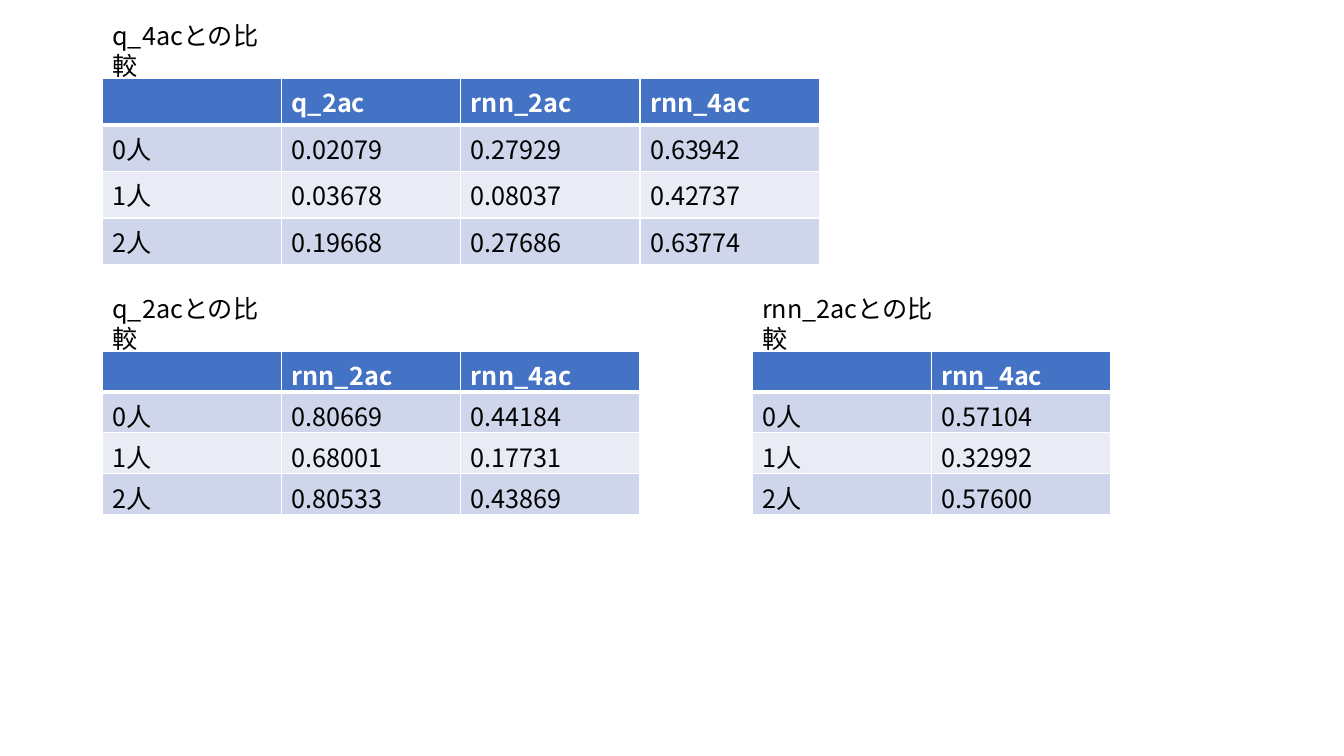
from dataclasses import dataclass

from lxml import etree
from pptx import Presentation
from pptx.dml.color import RGBColor
from pptx.enum.text import MSO_AUTO_SIZE
from pptx.oxml.ns import qn
from pptx.util import Pt

GROW = MSO_AUTO_SIZE.SHAPE_TO_FIT_TEXT


@dataclass(frozen=True)
class Theme:
    font: str = "Noto Sans CJK JP"
    size: int = 18
    text: str = "000000"
    white: str = "FFFFFF"
    header: str = "4472C4"
    bands: tuple = ("CFD5EA", "E9EBF5")


T = Theme()
COL_W, ROW_H = 128, 29.2
LEFT, RIGHT = 73.2, 537.4
LABELS = ("0人", "1人", "2人")

# caption, left, caption top, caption width, table top, {column: values}
COMPARISONS = [
    ("q_4acとの比較", LEFT, 11, 136, 55.8, {
        "q_2ac": ("0.02079", "0.03678", "0.19668"),
        "rnn_2ac": ("0.27929", "0.08037", "0.27686"),
        "rnn_4ac": ("0.63942", "0.42737", "0.63774")}),
    ("q_2acとの比較", LEFT, 206, 136, 250.8, {
        "rnn_2ac": ("0.80669", "0.68001", "0.80533"),
        "rnn_4ac": ("0.44184", "0.17731", "0.43869")}),
    ("rnn_2acとの比較", RIGHT, 206, 153, 250.8, {
        "rnn_4ac": ("0.57104", "0.32992", "0.57600")}),
]


def add_run(tf, text, color, bold=False):
    r = tf.paragraphs[0].add_run()
    r.text = text
    r.font.name, r.font.size, r.font.bold = T.font, Pt(T.size), bold
    r.font.color.rgb = RGBColor.from_string(color)
    etree.SubElement(r.font._element, qn("a:ea"), typeface=T.font)


def style_cell(cell, fill, bottom_width):
    """Draw the white borders, then the fill, in the order the schema asks for."""
    tcPr = cell._tc.get_or_add_tcPr()
    for side, width in (("L", 1), ("R", 1), ("T", 1), ("B", bottom_width)):
        ln = etree.SubElement(tcPr, qn(f"a:ln{side}"), w=str(Pt(width)))
        solid = etree.SubElement(ln, qn("a:solidFill"))
        etree.SubElement(solid, qn("a:srgbClr"), val=T.white)
    cell.fill.solid()
    cell.fill.fore_color.rgb = RGBColor.from_string(fill)


prs = Presentation()
prs.slide_width, prs.slide_height = Pt(960), Pt(540)
s = prs.slides.add_slide(prs.slide_layouts[6])

for caption, left, caption_top, caption_w, table_top, columns in COMPARISONS:
    rows = [("", *columns), *zip(LABELS, *columns.values())]
    n_cols = len(rows[0])
    table = s.shapes.add_table(len(rows), n_cols, Pt(left), Pt(table_top),
                               Pt(COL_W * n_cols), Pt(ROW_H * len(rows))).table
    for col in table.columns:
        col.width = Pt(COL_W)
    for i, values in enumerate(rows):
        table.rows[i].height = Pt(ROW_H)
        is_header = i == 0
        fill = T.header if is_header else T.bands[(i - 1) % 2]
        for j, value in enumerate(values):
            cell = table.cell(i, j)
            style_cell(cell, fill, 3 if is_header else 1)
            if value:
                add_run(cell.text_frame, value, T.white if is_header else T.text, is_header)

    tf = s.shapes.add_textbox(Pt(left), Pt(caption_top), Pt(caption_w), Pt(29)).text_frame
    tf.word_wrap = True
    tf.auto_size = GROW
    add_run(tf, caption, T.text)

prs.save("out.pptx")
